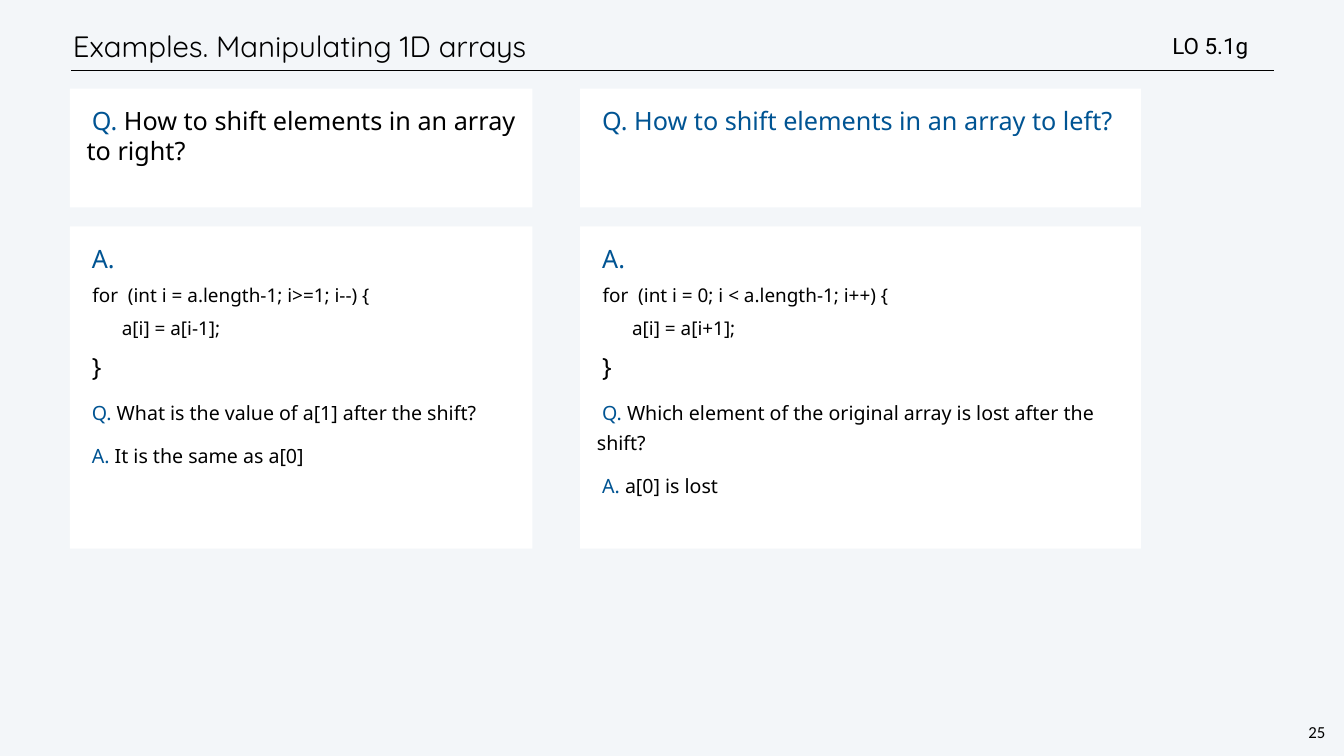
from pptx import Presentation
from pptx.dml.color import RGBColor
from pptx.enum.shapes import MSO_CONNECTOR, MSO_SHAPE
from pptx.enum.text import MSO_ANCHOR, MSO_AUTO_SIZE, PP_ALIGN
from pptx.oxml.ns import qn
from pptx.util import Emu, Pt

BLACK = RGBColor(0x00, 0x00, 0x00)
WHITE = RGBColor(0xFF, 0xFF, 0xFF)
BLUE = RGBColor(0x00, 0x54, 0x93)
BACKGROUND = RGBColor(0xF3, 0xF6, 0xF9)

BODY_FONT = "Noto Sans"
LARGE, MEDIUM, CODE = 36, 28, 27
CARD_INSET = 32
FIRST_LINE_INDENT = 10
QUESTION_TOP, QUESTION_HEIGHT = 169, 226
ANSWER_TOP, ANSWER_HEIGHT = 431, 614


def px(length):
    return Emu(length * 9525)


def set_frame(frame, inset, anchor=MSO_ANCHOR.TOP, wrap=True):
    frame.margin_left = frame.margin_right = px(inset)
    frame.margin_top = frame.margin_bottom = px(inset)
    frame.vertical_anchor = anchor
    frame.word_wrap = wrap
    frame.auto_size = MSO_AUTO_SIZE.NONE


def set_font(font, name, size, color=None):
    font.name = name
    font.size = Pt(size)
    if color is not None:
        font.color.rgb = color


def add_label(slide, box, text, font, size, inset, anchor=MSO_ANCHOR.TOP,
              align=PP_ALIGN.LEFT, wrap=True):
    frame = slide.shapes.add_textbox(*map(px, box)).text_frame
    set_frame(frame, inset, anchor, wrap)
    line = frame.paragraphs[0]
    line.text = text
    line.alignment = align
    set_font(line.font, font, size, BLACK)
    return line


def add_title(slide, text):
    title = slide.shapes.title
    title.left, title.top, title.width, title.height = map(px, (133, 40, 2172, 95))
    set_frame(title.text_frame, 6, MSO_ANCHOR.MIDDLE)
    heading = title.text_frame.paragraphs[0]
    heading.text = text
    heading.alignment = PP_ALIGN.LEFT
    heading.line_spacing = Pt(50)
    set_font(heading.font, "Quicksand", 42, BLACK)


def add_rule(slide, left, right, y):
    rule = slide.shapes.add_connector(
        MSO_CONNECTOR.STRAIGHT, px(left), px(y), px(right), px(y))
    rule.line.color.rgb = BLACK
    rule.line.width = Pt(1)
    properties = rule.element.spPr
    properties.append(properties.makeelement(qn("a:effectLst"), {}))


def add_card(slide, box, lines):
    """White panel; each line is (size, [(text, color), ...])."""
    card = slide.shapes.add_shape(MSO_SHAPE.RECTANGLE, *map(px, box))
    card.shadow.inherit = False
    card.fill.solid()
    card.fill.fore_color.rgb = WHITE
    card.line.fill.background()
    frame = card.text_frame
    set_frame(frame, CARD_INSET)
    for number, (size, parts) in enumerate(lines):
        line = frame.add_paragraph() if number else frame.paragraphs[0]
        line.alignment = PP_ALIGN.LEFT
        line.space_before = Pt(18 if number else 0)
        line.line_spacing = 0.9 if size == CODE else Pt(43)
        indents = line._p.get_or_add_pPr()
        indents.set("marL", str(px(1 if size == CODE else 0)))
        indents.set("indent", str(px(FIRST_LINE_INDENT)))
        set_font(line.font, BODY_FONT, size)
        for text, color in parts:
            run = line.add_run()
            run.text = text
            run.font.color.rgb = color


def add_example(slide, left, width, question, code, follow_up, reply):
    """Question card above its answer card."""
    add_card(slide, (left, QUESTION_TOP, width, QUESTION_HEIGHT),
             [(LARGE, question)])
    header, statement, closing = code
    add_card(slide, (left, ANSWER_TOP, width, ANSWER_HEIGHT), [
        (LARGE, [("A.", BLUE)]),
        (CODE, [(header, BLACK)]),
        (CODE, [(statement, BLACK)]),
        (LARGE, [(closing, BLACK)]),
        (MEDIUM, [("Q. ", BLUE), (follow_up, BLACK)]),
        (MEDIUM, [("A. ", BLUE), (reply, BLACK)]),
    ])


def main():
    deck = Presentation()
    deck.slide_width, deck.slide_height = px(2560), px(1440)
    slide = deck.slides.add_slide(deck.slide_layouts[5])
    slide.background.fill.solid()
    slide.background.fill.fore_color.rgb = BACKGROUND

    # Header
    add_rule(slide, 136, 2426, 134)
    add_title(slide, "Examples. Manipulating 1D arrays")
    add_label(slide, (2227, 56, 287, 62), "LO 5.1g", "Roboto", 32, 6,
              anchor=MSO_ANCHOR.MIDDLE)

    # Shift to the right
    add_example(
        slide, 133, 881,
        [("Q. ", BLUE), ("How to shift elements in an array to right?", BLACK)],
        ("for  (int i = a.length-1; i>=1; i--) {", "      a[i] = a[i-1];", "}"),
        "What is the value of a[1] after the shift?",
        "It is the same as a[0]")

    # Shift to the left
    add_example(
        slide, 1105, 1068,
        [("Q. How to shift elements in an array to left?", BLUE)],
        ("for  (int i = 0; i < a.length-1; i++) {", "      a[i] = a[i+1];", "}"),
        "Which element of the original array is lost after the shift?",
        "a[0] is lost")

    # Slide number
    page = add_label(slide, (2488, 1372, 41, 45), "25", "Calibri", 24, 4,
                     align=PP_ALIGN.CENTER, wrap=False)
    page.line_spacing = Pt(28)

    deck.save("out.pptx")


if __name__ == "__main__":
    main()
